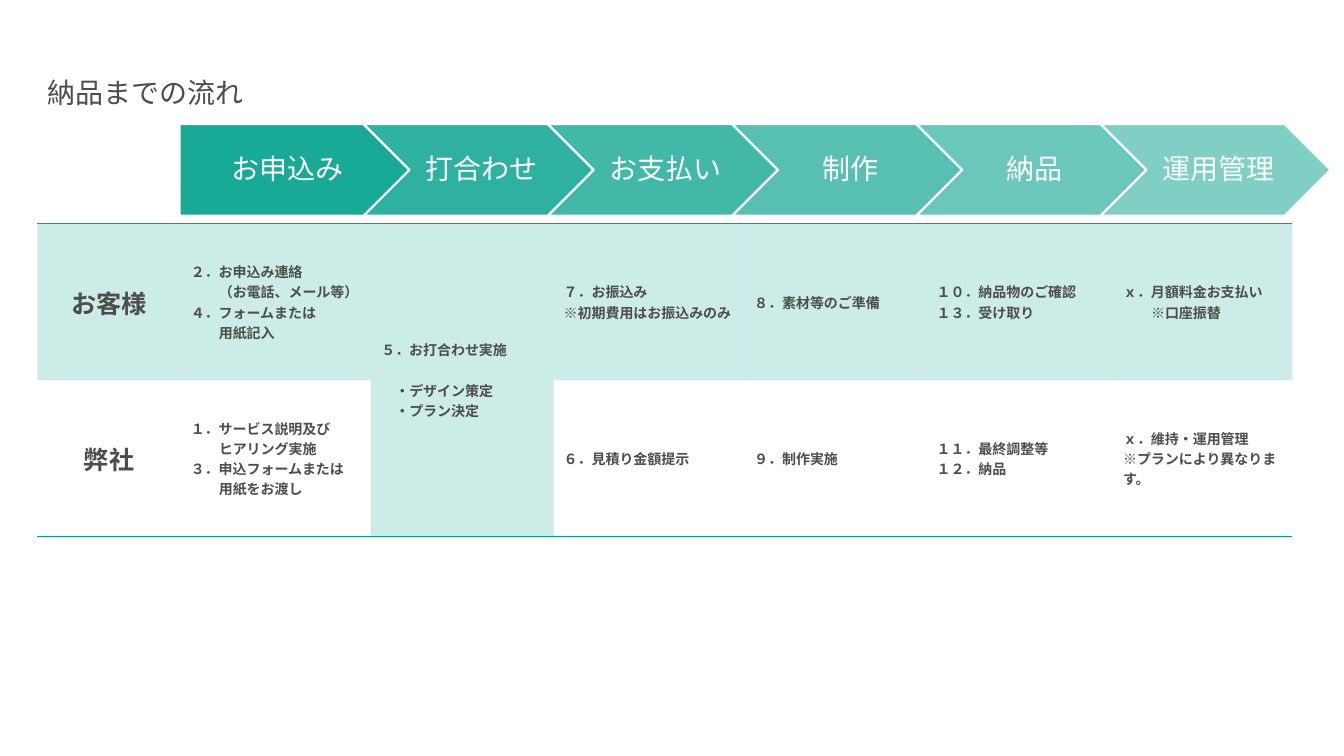
"""Build the slide showing the steps from application to delivery."""
import lxml.etree
import pptx
import pptx.dml.color
import pptx.enum.shapes
import pptx.enum.text
import pptx.oxml.ns
import pptx.util

Pt = pptx.util.Pt
qn = pptx.oxml.ns.qn
Shape = pptx.enum.shapes.MSO_SHAPE
Align = pptx.enum.text.PP_ALIGN
MIDDLE = pptx.enum.text.MSO_ANCHOR.MIDDLE

FONT = "Noto Sans CJK JP"
TEAL = pptx.dml.color.RGBColor(0x00, 0xA0, 0x8C)
GREY = pptx.dml.color.RGBColor(0x4D, 0x4D, 0x4D)
WHITE = pptx.dml.color.RGBColor(0xFF, 0xFF, 0xFF)
NO_GRID_STYLE = "{2D5ABB26-0587-4C30-8999-92F81FD0307C}"


def item(text, indent=0, gap=0):
    """Return a line of a cell with its indent and the space above it."""
    return text, indent, gap


TITLE = "納品までの流れ"
STEPS = ["お申込み", "打合わせ", "お支払い", "制作", "納品", "運用管理"]
ROWS = [
    ("お客様", [
        [item("２．お申込み連絡"), item("（お電話、メール等）", 20),
         item("４．フォームまたは"), item("用紙記入", 20)],
        [item("５．お打合わせ実施"), item("・デザイン策定", 10, 14.5),
         item("・プラン決定", 10)],
        [item("７．お振込み"), item("※初期費用はお振込みのみ")],
        [item("８．素材等のご準備")],
        [item("１０．納品物のご確認"), item("１３．受け取り")],
        [item("ｘ．月額料金お支払い"), item("※口座振替", 20)],
    ]),
    ("弊社", [
        [item("１．サービス説明及び"), item("ヒアリング実施", 20),
         item("３．申込フォームまたは"), item("用紙をお渡し", 20)],
        None,
        [item("６．見積り金額提示")],
        [item("９．制作実施")],
        [item("１１．最終調整等"), item("１２．納品")],
        [item("ｘ．維持・運用管理"), item("※プランにより異なります。")],
    ]),
]

LEFT = 26.7
STEP_LEFT, STEP_TOP, STEP_WIDTH, STEP_HEIGHT = 128.2, 88.6, 164.2, 65.5
STEP_PITCH = 131.6
TABLE_TOP, ROW_HEIGHT = 159.9, 111.7
COLUMN_WIDTHS = [102.4, 136.1, 130.3, 136.1, 130.3, 133.2, 128.2]


def style(paragraph, size, color, bold=False, align=Align.LEFT):
    """Set the font and alignment of a paragraph."""
    paragraph.alignment = align
    font = paragraph.font
    font.name, font.size, font.bold = FONT, Pt(size), bold
    font.color.rgb = color
    defaults = paragraph._p.get_or_add_pPr().find(qn("a:defRPr"))
    lxml.etree.SubElement(defaults, qn("a:ea"), typeface=FONT)


def tint(fill, properties, percent):
    """Fill with teal at the given opacity."""
    fill.solid()
    fill.fore_color.rgb = TEAL
    color = properties.find(qn("a:solidFill")).find(qn("a:srgbClr"))
    lxml.etree.SubElement(color, qn("a:alpha"), val=str(percent * 1000))


def add_border(cell, side):
    """Draw a teal line on one side of a cell."""
    line = lxml.etree.Element(qn(f"a:{side}"), w=str(Pt(1)))
    fill = lxml.etree.SubElement(line, qn("a:solidFill"))
    lxml.etree.SubElement(fill, qn("a:srgbClr"), val=str(TEAL))
    cell._tc.get_or_add_tcPr().insert(0, line)


def write_lines(cell, lines, size, align=Align.LEFT):
    """Write the lines of a cell as paragraphs."""
    cell.vertical_anchor = MIDDLE
    frame = cell.text_frame
    frame.text = "\n".join(text for text, indent, gap in lines)
    for paragraph, (text, indent, gap) in zip(frame.paragraphs, lines):
        style(paragraph, size, GREY, True, align)
        paragraph.space_before = Pt(gap)
        paragraph._p.get_or_add_pPr().set("marL", str(Pt(indent)))


def add_title(slide):
    """Add the heading."""
    box = slide.shapes.add_textbox(Pt(LEFT), Pt(41.8), Pt(907), Pt(51))
    frame = box.text_frame
    frame.word_wrap = True
    frame.vertical_anchor = MIDDLE
    frame.text = TITLE
    style(frame.paragraphs[0], 20, GREY)
    frame.paragraphs[0].line_spacing = 0.9


def add_steps(slide):
    """Add the row of arrows, each paler than the one before."""
    for index, name in enumerate(STEPS):
        shape = slide.shapes.add_shape(
            Shape.CHEVRON if index else Shape.PENTAGON,
            Pt(STEP_LEFT + index * STEP_PITCH), Pt(STEP_TOP),
            Pt(STEP_WIDTH), Pt(STEP_HEIGHT))
        shape.shadow.inherit = False
        tint(shape.fill, shape._element.spPr, 90 - 8 * index)
        shape.line.color.rgb = WHITE
        shape.line.width = Pt(1.5)
        frame = shape.text_frame
        frame.word_wrap = True
        frame.vertical_anchor = MIDDLE
        frame.margin_left = Pt(6.5 if index else 8.6)
        frame.margin_right = Pt(2.2)
        frame.text = name
        style(frame.paragraphs[0], 20, WHITE, align=Align.CENTER)
        frame.paragraphs[0].line_spacing = 0.9


def add_table(slide):
    """Add the table of tasks for each party."""
    table = slide.shapes.add_table(
        len(ROWS), len(COLUMN_WIDTHS), Pt(LEFT), Pt(TABLE_TOP),
        Pt(sum(COLUMN_WIDTHS)), Pt(ROW_HEIGHT * len(ROWS))).table
    table.first_row = table.horz_banding = False
    table._tbl.tblPr.find(qn("a:tableStyleId")).text = NO_GRID_STYLE
    for column, width in zip(table.columns, COLUMN_WIDTHS):
        column.width = Pt(width)
    table.cell(0, 2).merge(table.cell(1, 2))
    for row_index, (party, tasks) in enumerate(ROWS):
        table.rows[row_index].height = Pt(ROW_HEIGHT)
        write_lines(table.cell(row_index, 0), [item(party)], 18, Align.CENTER)
        for column_index, lines in enumerate(tasks, 1):
            if lines:
                write_lines(table.cell(row_index, column_index), lines, 10)
        for column_index in range(len(COLUMN_WIDTHS)):
            cell = table.cell(row_index, column_index)
            if row_index == 0:
                tint(cell.fill, cell._tc.get_or_add_tcPr(), 20)
            else:
                cell.fill.background()
            if row_index == len(ROWS) - 1 or cell.is_merge_origin:
                add_border(cell, "lnB")
            if row_index == 0:
                add_border(cell, "lnT")


presentation = pptx.Presentation()
presentation.slide_width, presentation.slide_height = Pt(960), Pt(540)
slide = presentation.slides.add_slide(presentation.slide_layouts[6])
add_title(slide)
add_steps(slide)
add_table(slide)
presentation.save("out.pptx")
